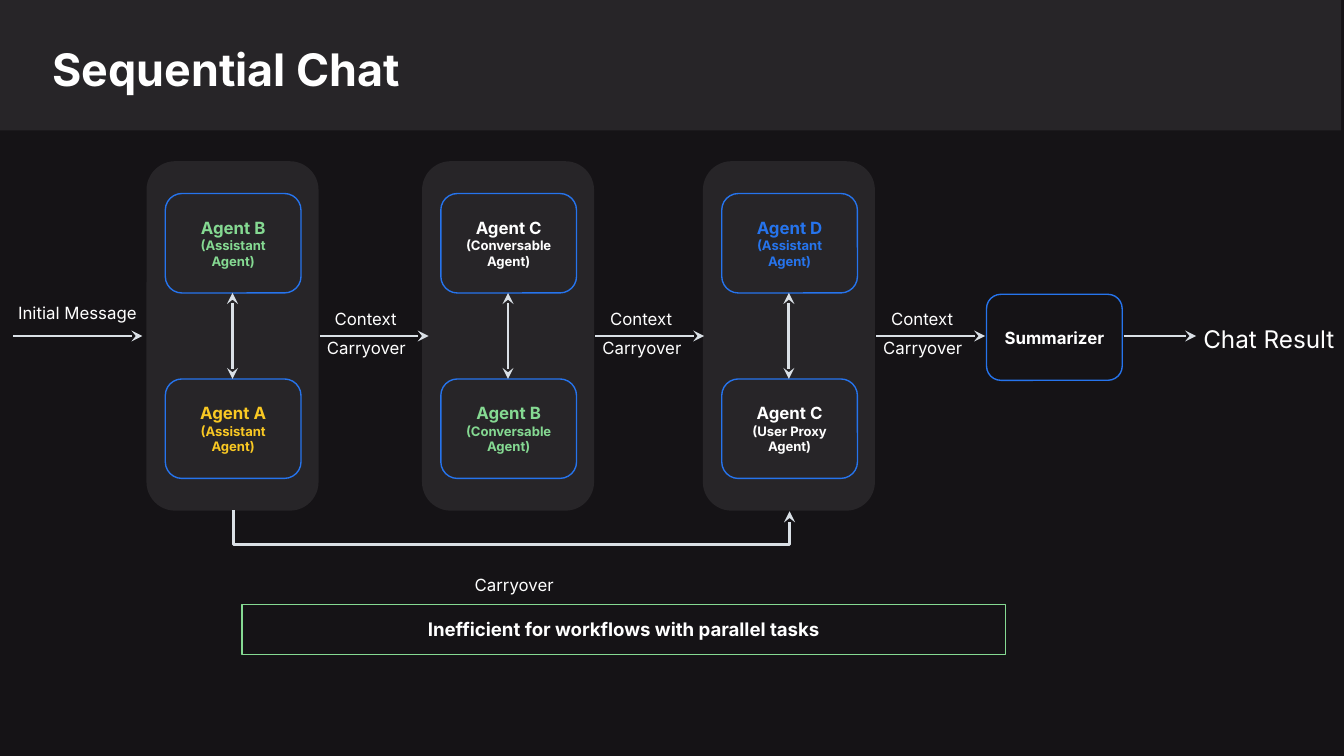
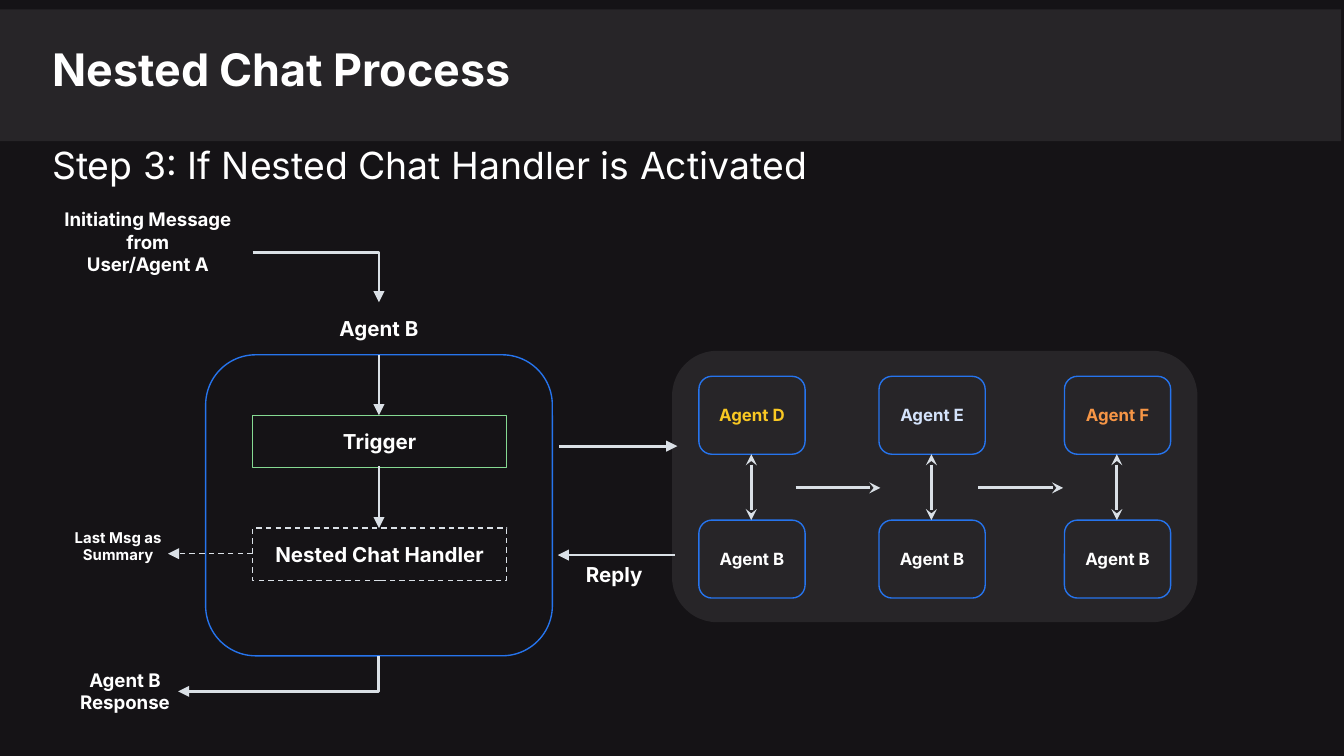
from lxml.etree import SubElement
from pptx import Presentation
from pptx.dml.color import RGBColor
from pptx.enum.dml import MSO_LINE
from pptx.enum.shapes import MSO_CONNECTOR, MSO_SHAPE
from pptx.enum.text import MSO_ANCHOR, MSO_AUTO_SIZE, PP_ALIGN
from pptx.oxml.ns import qn
from pptx.util import Inches, Pt

FONT = "Inter"
COLORS = {
    "background": "151316",
    "panel": "272528",
    "white": "FFFFFF",
    "arrow": "DAE0E6",
    "blue": "2674ED",
    "green": "85D992",
    "yellow": "F9C823",
    "pale": "D4E3FB",
    "orange": "F79646",
}


def color(name):
    return RGBColor.from_string(COLORS[name])


def write_text(frame, text, size=9, color_name="white", bold=True,
               align=PP_ALIGN.CENTER, anchor=MSO_ANCHOR.TOP, note_size=None):
    frame.word_wrap = True
    frame.auto_size = MSO_AUTO_SIZE.NONE
    frame.vertical_anchor = anchor
    frame.margin_left = frame.margin_right = Inches(0.1)
    frame.margin_top = frame.margin_bottom = Inches(0.1)
    frame.text = text
    for index, paragraph in enumerate(frame.paragraphs):
        paragraph.alignment = align
        for run in paragraph.runs:
            run.font.name = FONT
            run.font.size = Pt(note_size if note_size and index else size)
            run.font.bold = bold
            run.font.color.rgb = color(color_name)


class DiagramDeck:
    def __init__(self):
        self.presentation = Presentation()
        self.presentation.slide_width = Inches(10)
        self.presentation.slide_height = Inches(10) * 9 // 16
        fill = self.presentation.slide_master.background.fill
        fill.solid()
        fill.fore_color.rgb = color("background")
        self.slide = None

    def add_slide(self, title, band_top, band_height):
        layout = self.presentation.slide_layouts.get_by_name("Title Only")
        self.slide = self.presentation.slides.add_slide(layout)
        band = self.box(0, band_top, 9.98, band_height, fill="panel", shape_type=MSO_SHAPE.RECTANGLE)
        placeholder = self.slide.shapes.title
        placeholder.left, placeholder.top = Inches(0.29), Inches(0.21)
        placeholder.width, placeholder.height = Inches(8.74), Inches(0.58)
        write_text(placeholder.text_frame, title, size=24, align=PP_ALIGN.LEFT)
        band.element.addnext(placeholder.element)

    def box(self, left, top, width, height, fill=None, line=None, dashed=False,
            shape_type=MSO_SHAPE.ROUNDED_RECTANGLE):
        shape = self.slide.shapes.add_shape(
            shape_type, Inches(left), Inches(top), Inches(width), Inches(height))
        shape.shadow.inherit = False
        if fill:
            shape.fill.solid()
            shape.fill.fore_color.rgb = color(fill)
        else:
            shape.fill.background()
        if line:
            self.style_line(shape.line, line, 0.75, dashed)
        else:
            shape.line.fill.background()
        return shape

    def style_line(self, line, color_name, width, dashed):
        line.color.rgb = color(color_name)
        line.width = Pt(width)
        if dashed:
            line.dash_style = MSO_LINE.DASH

    def card(self, left, top, width, height, text, **text_format):
        shape = self.box(left, top, width, height, line="blue")
        write_text(shape.text_frame, text, anchor=MSO_ANCHOR.MIDDLE, **text_format)

    def bar(self, left, top, width, height, text, size, line="green", dashed=False):
        shape = self.box(left, top, width, height, line=line, dashed=dashed,
                         shape_type=MSO_SHAPE.RECTANGLE)
        write_text(shape.text_frame, text, size=size)

    def label(self, left, top, width, height, text, **text_format):
        shape = self.slide.shapes.add_textbox(
            Inches(left), Inches(top), Inches(width), Inches(height))
        write_text(shape.text_frame, text, **text_format)

    def arrow(self, begin, end, head="stealth", both=False, width=1.5, dashed=False,
              kind=MSO_CONNECTOR.STRAIGHT):
        connector = self.slide.shapes.add_connector(
            kind, *(Inches(value) for value in (*begin, *end)))
        self.style_line(connector.line, "arrow", width, dashed)
        line = connector.line._get_or_add_ln()
        if both:
            SubElement(line, qn("a:headEnd"), type=head)
        SubElement(line, qn("a:tailEnd"), type=head)
        SubElement(connector.element.spPr, qn("a:effectLst"))
        return connector

    def elbow(self, begin, end, preset="bentConnector2", rotation=0, adjustment=None,
              head="triangle"):
        connector = self.arrow(begin, end, head=head, kind=MSO_CONNECTOR.ELBOW)
        properties = connector.element.spPr
        properties.find(qn("a:xfrm")).set("rot", str(rotation * 60000))
        geometry = properties.find(qn("a:prstGeom"))
        geometry.set("prst", preset)
        if adjustment is not None:
            guides = geometry.find(qn("a:avLst"))
            if guides is None:
                guides = SubElement(geometry, qn("a:avLst"))
            SubElement(guides, qn("a:gd"), name="adj1", fmla=f"val {adjustment * 100000}")


def build_sequential_chat(deck):
    deck.add_slide("Sequential Chat", 0, 0.97)
    stages = [
        (1.09, ("Agent B\n(Assistant Agent)", "green"), ("Agent A\n(Assistant Agent)", "yellow")),
        (3.14, ("Agent C\n(Conversable Agent)", "white"), ("Agent B\n(Conversable Agent)", "green")),
        (5.23, ("Agent D\n(Assistant Agent)", "blue"), ("Agent C\n(User Proxy Agent)", "white")),
    ]
    plain = {"bold": False, "anchor": MSO_ANCHOR.MIDDLE}
    for left, *agents in stages:
        deck.box(left, 1.2, 1.28, 2.6, fill="panel")
        for top, (text, color_name) in zip((1.44, 2.82), agents):
            deck.card(left + 0.14, top, 1.01, 0.74, text, color_name=color_name, note_size=7)
        deck.arrow((left + 0.64, 2.18), (left + 0.64, 2.82), both=True)
    for left, *_ in stages:
        deck.arrow((left + 1.29, 2.5), (left + 2.1, 2.5))
        deck.label(left + 0.99, 2.16, 1.28, 0.43, "Context", **plain)
        deck.label(left + 1.06, 2.37, 1.15, 0.43, "Carryover", **plain)

    deck.label(0, 2.11, 1.15, 0.43, "Initial Message", **plain)
    deck.arrow((0.1, 2.5), (1.06, 2.5))
    deck.card(7.34, 2.19, 1.01, 0.64, "Summarizer")
    deck.arrow((8.36, 2.5), (8.9, 2.5))
    deck.label(8.65, 2.1, 1.58, 0.84, "Chat Result", size=13, **plain)

    deck.elbow((3.81, 1.73), (3.8, 5.87), preset="bentConnector3", rotation=270,
               adjustment=26, head="stealth")
    deck.label(3.25, 4.14, 1.15, 0.43, "Carryover", **plain)
    deck.bar(1.8, 4.5, 5.68, 0.37, "Inefficient for workflows with parallel tasks", 10)


def build_nested_chat(deck):
    deck.add_slide("Nested Chat Process", 0.07, 0.98)
    deck.label(0.29, 0.96, 8.74, 0.58, "Step 3: If Nested Chat Handler is Activated",
               size=20, bold=False, align=PP_ALIGN.LEFT)

    deck.label(0.33, 1.41, 1.54, 0.78, "Initiating Message from\nUser/Agent A",
               size=10, anchor=MSO_ANCHOR.MIDDLE)
    deck.elbow((1.88, 1.88), (2.82, 2.25))
    deck.label(1.18, 2.25, 3.28, 0.39, "Agent B", size=11)
    deck.box(1.53, 2.64, 2.58, 2.24, line="blue")
    deck.bar(1.88, 3.09, 1.89, 0.39, "Trigger", 11)
    deck.bar(1.88, 3.93, 1.89, 0.39, "Nested Chat Handler", 11, line="arrow", dashed=True)
    for begin, end in ((2.64, 3.09), (3.47, 3.93)):
        deck.arrow((2.82, begin), (2.82, end), head="triangle")

    deck.arrow((1.88, 4.12), (1.25, 4.12), head="triangle", width=0.75, dashed=True)
    deck.label(0, 3.83, 1.76, 0.47, "Last Msg as\nSummary", size=8)
    deck.elbow((1.94, 4.27), (2.2, 5.76), rotation=90)
    deck.label(0.16, 4.75, 1.54, 0.78, "Agent B\nResponse", size=10, anchor=MSO_ANCHOR.MIDDLE)

    deck.box(5, 2.61, 3.91, 2.02, fill="panel")
    nested_agents = [
        (5.2, "Agent D", "yellow"),
        (6.54, "Agent E", "pale"),
        (7.92, "Agent F", "orange"),
    ]
    for left, name, color_name in nested_agents:
        deck.card(left, 2.8, 0.79, 0.58, name, color_name=color_name)
        deck.card(left, 3.87, 0.79, 0.58, "Agent B")
        deck.arrow((left + 0.39, 3.38), (left + 0.39, 3.87), both=True)
    for left in (5.92, 7.28):
        deck.arrow((left, 3.63), (left + 0.63, 3.63))

    deck.arrow((4.16, 3.32), (5.04, 3.32), head="triangle")
    deck.arrow((5.02, 4.13), (4.15, 4.13), head="triangle")
    deck.label(2.93, 4.08, 3.28, 0.39, "Reply", size=11)


def main():
    deck = DiagramDeck()
    build_sequential_chat(deck)
    build_nested_chat(deck)
    deck.presentation.save("out.pptx")


if __name__ == "__main__":
    main()
